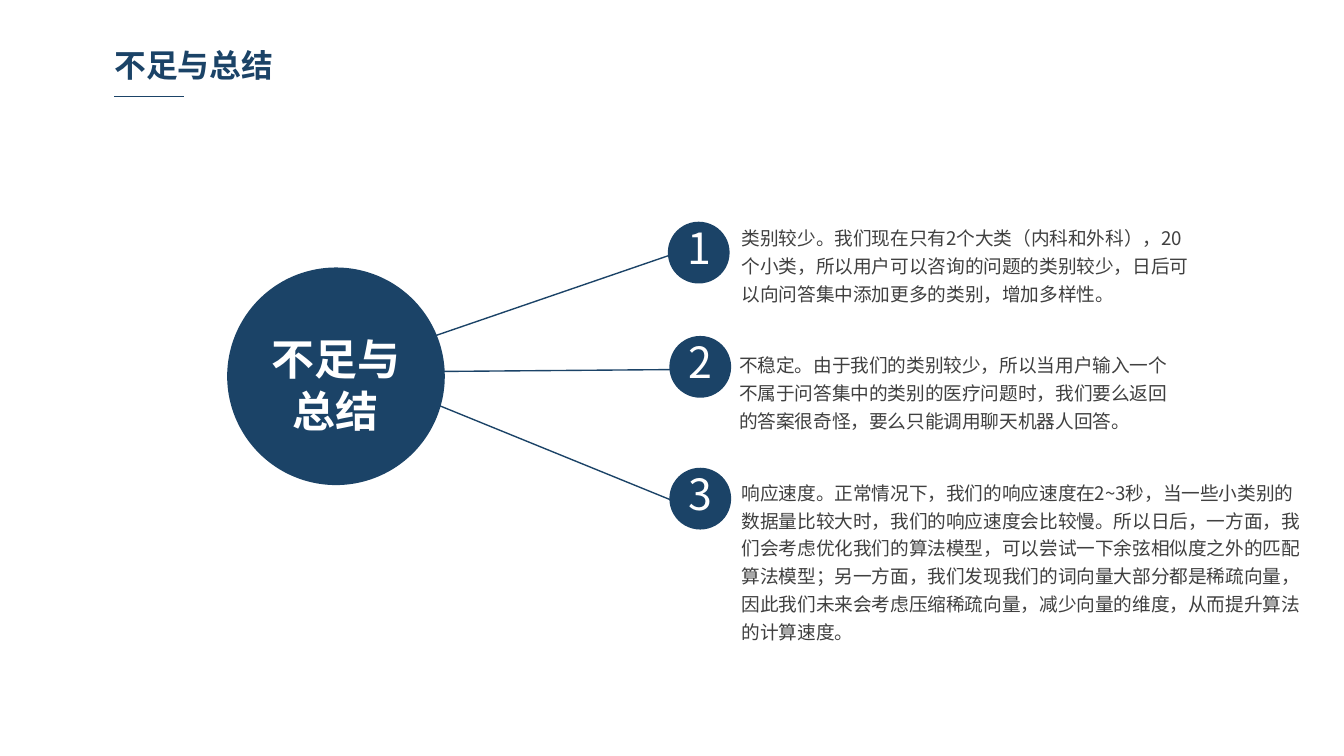
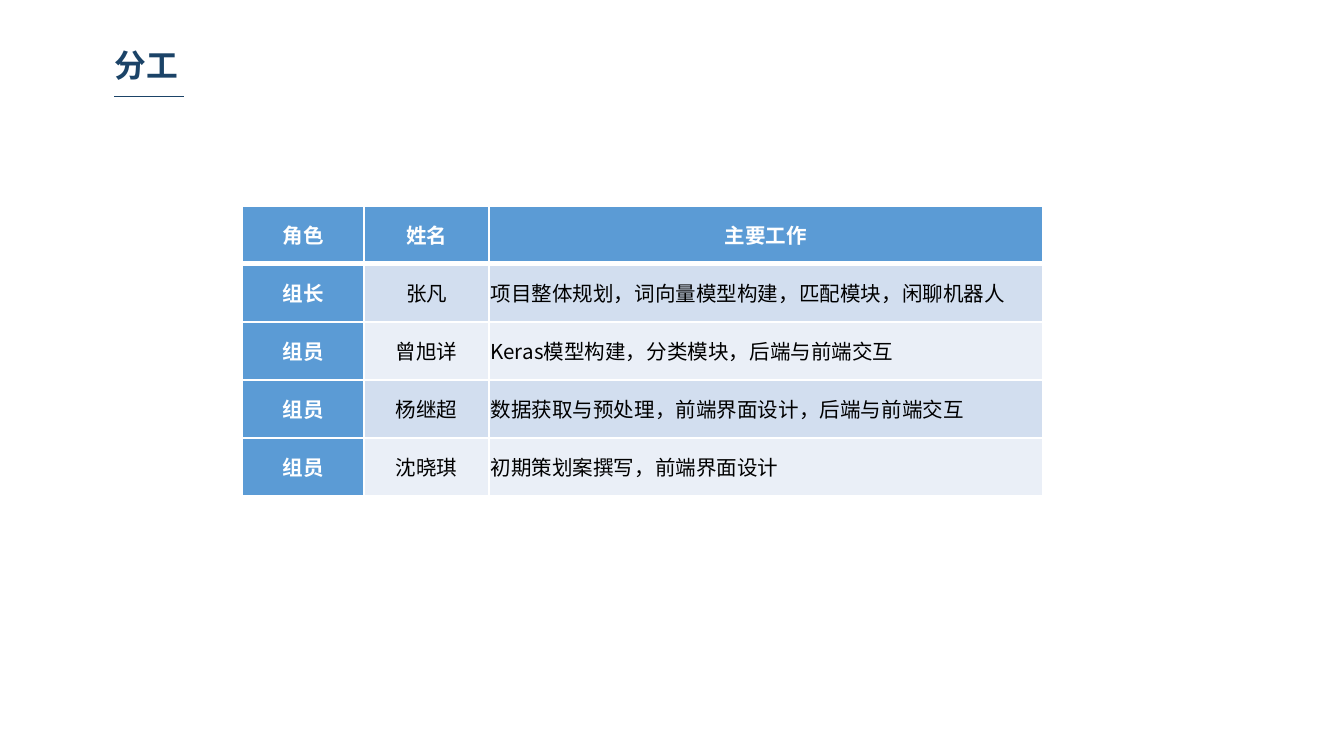
import pptx
import pptx.util
import pptx.dml.color
import pptx.enum.shapes
import pptx.enum.text
import pptx.oxml
import pptx.oxml.ns

Pt = pptx.util.Pt
ALIGN = pptx.enum.text.PP_ALIGN
ANCHOR = pptx.enum.text.MSO_ANCHOR

FONT = "Noto Sans CJK SC"
COLORS = {
    "navy": "1B4367",
    "white": "FFFFFF",
    "body": "404040",
    "black": "000000",
    "header": "5B9BD5",
    "odd_row": "D2DEEF",
    "even_row": "EAEFF7",
}
FORMATS = {
    "title": {"size": Pt(17), "bold": True, "color": "navy"},
    "hub": {"size": Pt(23), "bold": True, "color": "white"},
    "number": {"size": Pt(23), "bold": False, "color": "white"},
    "body": {"size": Pt(10), "bold": False, "color": "body"},
    "table_head": {"size": Pt(11), "bold": True, "color": "white"},
    "table_body": {"size": Pt(11), "bold": False, "color": "black"},
}

SUMMARY_TITLE = "不足与总结"
HUB = {"lines": ["不足与", "总结"], "circle": (121.7, 143.3, 116.6), "text": (121.7, 172.1, 116.6, 63.4)}
BADGE_SIZE = 33.1
POINTS = [
    {
        "badge": (357.8, 118.8),
        "line": (190.8, 194.4, 358.6, 136.8),
        "box": (392.4, 115.9, 253.4, 49.7),
        "text": "类别较少。我们现在只有2个大类（内科和外科），20个小类，所以用户可以咨询的问题的类别较少，"
                "日后可以向问答集中添加更多的类别，增加多样性。",
    },
    {
        "badge": (358.6, 180),
        "line": (188.6, 199.4, 359.3, 198),
        "box": (391, 183.6, 244.8, 49.7),
        "text": "不稳定。由于我们的类别较少，所以当用户输入一个不属于问答集中的类别的医疗问题时，"
                "我们要么返回的答案很奇怪，要么只能调用聊天机器人回答。",
    },
    {
        "badge": (358.6, 250.6),
        "line": (195.1, 200.9, 359.3, 267.8),
        "box": (392.4, 252, 309.6, 95),
        "text": "响应速度。正常情况下，我们的响应速度在2~3秒，当一些小类别的数据量比较大时，"
                "我们的响应速度会比较慢。所以日后，一方面，我们会考虑优化我们的算法模型，"
                "可以尝试一下余弦相似度之外的匹配算法模型；另一方面，我们发现我们的词向量大部分都是稀疏向量，"
                "因此我们未来会考虑压缩稀疏向量，减少向量的维度，从而提升算法的计算速度。",
    },
]

DUTIES_TITLE = "分工"
DUTIES = [
    ("角色", "姓名", "主要工作"),
    ("组长", "张凡", "项目整体规划，词向量模型构建，匹配模块，闲聊机器人"),
    ("组员", "曾旭详", "Keras模型构建，分类模块，后端与前端交互"),
    ("组员", "杨继超", "数据获取与预处理，前端界面设计，后端与前端交互"),
    ("组员", "沈晓琪", "初期策划案撰写，前端界面设计"),
]
TABLE_ORIGIN = (129.6, 110.2)
COLUMN_WIDTHS = (65.5, 67, 296.6)
ROW_HEIGHT = 31.1


def rgb(name):
    return pptx.dml.color.RGBColor.from_string(COLORS[name])


def points(*values):
    return [Pt(value) for value in values]


def write_text(frame, lines, style, align=ALIGN.LEFT, spacing=None):
    for index, line in enumerate(lines):
        paragraph = frame.paragraphs[0] if index == 0 else frame.add_paragraph()
        paragraph.alignment = align
        if spacing:
            paragraph.line_spacing = Pt(spacing)
        run = paragraph.add_run()
        run.text = line
        run.font.name = FONT
        for key, value in FORMATS[style].items():
            if key == "color":
                run.font.color.rgb = rgb(value)
            else:
                setattr(run.font, key, value)
        east_asian = pptx.oxml.parse_xml(f'<a:ea {pptx.oxml.ns.nsdecls("a")} typeface="{FONT}"/>')
        run.font._element.find(pptx.oxml.ns.qn("a:latin")).addnext(east_asian)


def format_frame(frame, left, top, right, bottom):
    settings = {
        "margin_left": Pt(left), "margin_top": Pt(top),
        "margin_right": Pt(right), "margin_bottom": Pt(bottom),
        "word_wrap": True, "vertical_anchor": ANCHOR.TOP,
        "auto_size": pptx.enum.text.MSO_AUTO_SIZE.NONE,
    }
    for name, value in settings.items():
        setattr(frame, name, value)


def add_text(shapes, box, margins, lines, style, **options):
    shape = shapes.add_textbox(*points(*box))
    format_frame(shape.text_frame, *margins)
    write_text(shape.text_frame, lines, style, **options)


def add_line(slide, ends):
    connector = slide.shapes.add_connector(pptx.enum.shapes.MSO_CONNECTOR.STRAIGHT, *points(*ends))
    connector.line.color.rgb = rgb("navy")
    connector.line.width = Pt(0.75)
    connector._element.spPr.append(
        pptx.oxml.parse_xml(f'<a:effectLst {pptx.oxml.ns.nsdecls("a")}/>'))


def add_labelled_circle(slide, circle, box, margins, lines, style, **options):
    left, top, size = circle
    shapes = slide.shapes.add_group_shape().shapes
    shape = shapes.add_shape(pptx.enum.shapes.MSO_SHAPE.OVAL, *points(left, top, size, size))
    shape.shadow.inherit = False
    shape.fill.solid()
    shape.fill.fore_color.rgb = rgb("navy")
    shape.line.fill.background()
    add_text(shapes, box, margins, lines, style, align=ALIGN.CENTER, **options)


def add_titled_slide(presentation, text):
    slide = presentation.slides.add_slide(presentation.slide_layouts[5])
    title = slide.shapes.title
    title.left, title.top, title.width, title.height = points(56.2, 24.5, 177.8, 25.9)
    format_frame(title.text_frame, 5, 0, 5, 0)
    write_text(title.text_frame, [text], "title")
    add_line(slide, (61.2, 51.8, 98.6, 51.8))
    return slide


def add_summary_slide(presentation):
    slide = add_titled_slide(presentation, SUMMARY_TITLE)
    for point in POINTS:
        add_line(slide, point["line"])
    for number, point in enumerate(POINTS, 1):
        left, top = point["badge"]
        add_labelled_circle(slide, (left, top, BADGE_SIZE), (left + 0.5, top, 32.4, 35.3),
                            (0, 0, 0, 0), [str(number)], "number")
        add_text(slide.shapes, point["box"], (5, 2.9, 5, 2.9), [point["text"]], "body", spacing=15)
    add_labelled_circle(slide, HUB["circle"], HUB["text"], (7.2, 6.5, 7.2, 0),
                        HUB["lines"], "hub", spacing=27.4)


def set_borders(cell, widths):
    properties = cell._tc.get_or_add_tcPr()
    for position, (side, width) in enumerate(widths.items()):
        properties.insert(position, pptx.oxml.parse_xml(
            f'<a:{side} {pptx.oxml.ns.nsdecls("a")} w="{Pt(width)}"><a:solidFill>'
            f'<a:srgbClr val="{COLORS["white"]}"/></a:solidFill></a:{side}>'))


def add_duties_slide(presentation):
    slide = add_titled_slide(presentation, DUTIES_TITLE)
    size = (sum(COLUMN_WIDTHS), ROW_HEIGHT * len(DUTIES))
    table = slide.shapes.add_table(len(DUTIES), len(COLUMN_WIDTHS),
                                   *points(*TABLE_ORIGIN, *size)).table
    for column, width in zip(table.columns, COLUMN_WIDTHS):
        column.width = Pt(width)
    for row_index, values in enumerate(DUTIES):
        table.rows[row_index].height = Pt(ROW_HEIGHT)
        for column_index, value in enumerate(values):
            cell = table.cell(row_index, column_index)
            is_head = row_index == 0 or column_index == 0
            fill = "header" if is_head else "odd_row" if row_index % 2 else "even_row"
            cell.fill.solid()
            cell.fill.fore_color.rgb = rgb(fill)
            cell.vertical_anchor = ANCHOR.MIDDLE
            cell.margin_left = cell.margin_right = Pt(0.7)
            cell.margin_top = cell.margin_bottom = 0
            align = ALIGN.CENTER if is_head or column_index == 1 else ALIGN.LEFT
            write_text(cell.text_frame, [value], "table_head" if is_head else "table_body", align)
            set_borders(cell, {"lnL": 1, "lnR": 1, "lnT": 3 if row_index == 1 else 1,
                               "lnB": 3 if row_index == 0 else 1})


def main():
    presentation = pptx.Presentation()
    presentation.slide_width, presentation.slide_height = points(720, 405)
    add_summary_slide(presentation)
    add_duties_slide(presentation)
    presentation.save("out.pptx")


if __name__ == "__main__":
    main()
